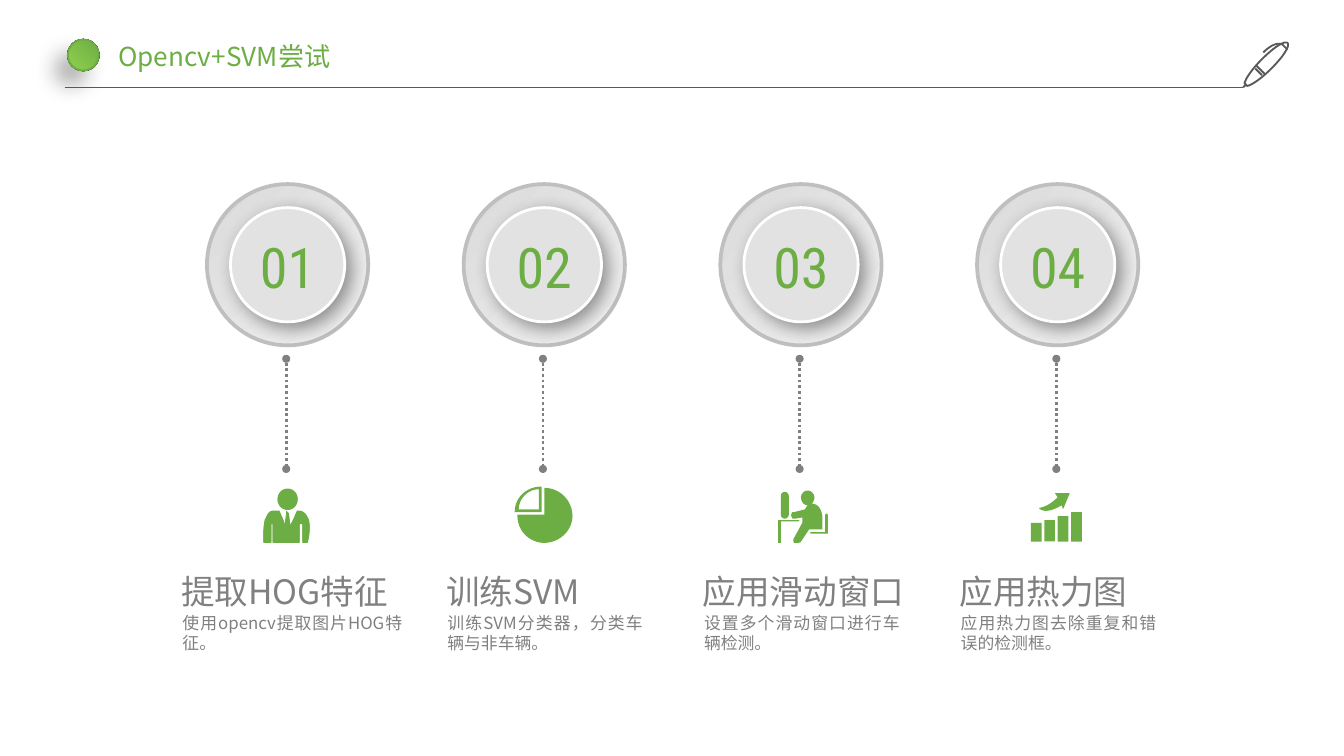
from dataclasses import dataclass
from typing import NamedTuple

from lxml.etree import SubElement
from pptx import Presentation
from pptx.dml.color import RGBColor
from pptx.enum.dml import MSO_LINE
from pptx.enum.shapes import MSO_CONNECTOR, MSO_SHAPE
from pptx.enum.text import MSO_ANCHOR, PP_ALIGN
from pptx.oxml.ns import qn
from pptx.util import Inches, Pt


@dataclass(frozen=True)
class Theme:
    green: str = "6CAE43"
    lime: str = "92D050"
    gray: str = "808080"
    dark: str = "595959"
    black: str = "262626"
    rim: str = "BFBFBF"
    disc: str = "E2E2E2"
    shade: str = "D9D9D9"
    pale: str = "F2F2F2"
    white: str = "FFFFFF"
    font: str = "Noto Sans CJK SC"
    digit: str = "Roboto Condensed"
    title: int = 14
    number: int = 30
    head: int = 18
    body: int = 9


class Shadow(NamedTuple):
    alpha: int
    blur: int
    dist: int
    angle: int


class Step(NamedTuple):
    head: str
    body: str
    left: float
    head_width: float
    body_width: float


T = Theme()
PITCH = 1.91
AXIS = 2.14
STEPS = [
    Step("提取HOG特征", "使用opencv提取图片HOG特征。", 1.25, 1.98, 1.83),
    Step("训练SVM", "训练SVM分类器，分类车辆与非车辆。", 3.22, 1.78, 1.65),
    Step("应用滑动窗口", "设置多个滑动窗口进行车辆检测。", 5.13, 1.78, 1.65),
    Step("应用热力图", "应用热力图去除重复和错误的检测框。", 7.04, 1.78, 1.65),
]

# Outlines: two numbers are a line's end, six are a cubic curve.
PEN = [
    [(9.39, 0.56), (9.34, 0.51)],
    [(9.35, 0.49), (9.41, 0.55)],
    [(9.58, 0.32), (9.56, 0.3, 9.48, 0.35, 9.39, 0.44),
     (9.32, 0.51, 9.27, 0.58, 9.26, 0.62), (9.28, 0.64),
     (9.32, 0.63, 9.39, 0.58, 9.46, 0.51), (9.55, 0.42, 9.6, 0.34, 9.58, 0.32)],
    [(9.27, 0.63), (9.25, 0.65)],
    [(9.58, 0.37), (9.54, 0.33), (9.54, 0.33, 9.49, 0.3, 9.4, 0.39)],
]
SUIT = [[
    (2.29, 3.85), (2.28, 3.82, 2.25, 3.8, 2.23, 3.8), (2.21, 3.8), (2.18, 3.87),
    (2.13, 3.96), (2.16, 3.9), (2.15, 3.82), (2.13, 3.8), (2.13, 3.82),
    (2.12, 3.9), (2.11, 3.87), (2.08, 3.8), (2.03, 3.8),
    (2.01, 3.8, 1.99, 3.82, 1.98, 3.85), (1.96, 3.87, 1.96, 3.96, 1.96, 4.03),
    (2.02, 4.03), (2.02, 3.89), (2.03, 3.89), (2.03, 4.03), (2.23, 4.03),
    (2.23, 3.89), (2.25, 3.89), (2.25, 4.03), (2.29, 4.03),
    (2.31, 3.96, 2.31, 3.87, 2.29, 3.85),
]]
PIE = [[
    (3.85, 3.83), (3.85, 3.84), (3.85, 3.95, 3.94, 4.04, 4.05, 4.04),
    (4.16, 4.04, 4.26, 3.95, 4.26, 3.84), (4.26, 3.72, 4.16, 3.63, 4.05, 3.63),
    (4.05, 3.83),
]]
SLICE = [
    [(3.83, 3.81), (4.03, 3.81), (4.03, 3.62), (3.92, 3.62, 3.83, 3.7, 3.83, 3.81)],
    [(3.86, 3.79), (3.86, 3.71, 3.93, 3.64, 4.01, 3.64), (4.01, 3.79)],
]
DESK = [[(5.79, 3.87), (5.95, 3.87), (5.94, 3.88), (5.81, 3.88), (5.81, 4.04),
         (5.79, 4.04)]]
SITTER = [[
    (5.91, 4), (5.9, 4.01, 5.9, 4.03, 5.91, 4.04), (5.93, 4.04),
    (5.94, 4.04, 5.95, 4.04, 5.96, 4.03), (6.02, 3.94), (6.12, 3.94), (6.12, 3.86),
    (6.12, 3.8, 6.09, 3.75, 6.05, 3.75), (6.04, 3.75),
    (6.05, 3.74, 6.06, 3.72, 6.06, 3.7), (6.06, 3.68, 6.04, 3.65, 6.01, 3.65),
    (5.98, 3.65, 5.96, 3.68, 5.96, 3.7), (5.96, 3.73, 5.98, 3.76, 6.01, 3.76),
    (6.02, 3.75), (6.01, 3.76, 6, 3.77, 5.99, 3.79), (5.91, 3.81),
    (5.9, 3.81, 5.89, 3.81, 5.89, 3.82), (5.89, 3.83, 5.88, 3.84, 5.89, 3.84),
    (5.89, 3.86, 5.9, 3.86, 5.91, 3.86), (5.97, 3.85), (5.97, 3.89),
]]
CHAIR = [[(6.03, 3.96), (6.14, 3.96), (6.14, 3.83), (6.15, 3.82), (6.16, 3.83),
          (6.16, 3.97), (6.03, 3.97)]]
ARROW = [[
    (7.87, 3.7), (7.85, 3.72, 7.8, 3.77, 7.73, 3.78),
    (7.73, 3.78, 7.77, 3.84, 7.9, 3.76), (7.91, 3.79), (7.96, 3.67), (7.85, 3.67),
]]


def rgb(color: str) -> RGBColor:
    return RGBColor.from_string(color)


def style(item, **values) -> None:
    for name, value in values.items():
        setattr(item, name, value)


def paint(shape, fill=None, line=None, width=1.0) -> None:
    """Fill with one colour, a pair as a gradient, or nothing."""
    shape.shadow.inherit = False
    if isinstance(fill, tuple):
        shape.fill.gradient()
        shape.fill.gradient_angle = 315
        for stop, color in zip(shape.fill.gradient_stops, fill):
            stop.color.rgb = rgb(color)
    elif fill:
        shape.fill.solid()
        shape.fill.fore_color.rgb = rgb(fill)
    else:
        shape.fill.background()
    if line:
        shape.line.color.rgb = rgb(line)
        shape.line.width = Pt(width)
    else:
        shape.line.fill.background()


def glow(shape) -> None:
    """Turn a linear gradient into a round one from the top right."""
    grad = shape._element.spPr.find(qn("a:gradFill"))
    grad.remove(grad.find(qn("a:lin")))
    ring = SubElement(grad, qn("a:path"), {"path": "circle"})
    SubElement(ring, qn("a:fillToRect"), {"l": "100000", "b": "100000"})


def cast(shape, shadow: Shadow) -> None:
    effects = shape._element.spPr.find(qn("a:effectLst"))
    outer = SubElement(effects, qn("a:outerShdw"), {
        "blurRad": str(Pt(shadow.blur)), "dist": str(Pt(shadow.dist)),
        "dir": str(shadow.angle * 60000), "algn": "ctr", "rotWithShape": "0"})
    color = SubElement(outer, qn("a:srgbClr"), {"val": "000000"})
    SubElement(color, qn("a:alpha"), {"val": str(shadow.alpha * 1000)})


def block(slide, kind, box: tuple, fill=None, line=None, width=1.0):
    shape = slide.shapes.add_shape(kind, *map(Inches, box))
    paint(shape, fill, line, width)
    return shape


def disc(slide, x: float, y: float, size: float, fill, line=None, width=1.0):
    """Draw a circle about its centre."""
    box = (x - size / 2, y - size / 2, size, size)
    return block(slide, MSO_SHAPE.OVAL, box, fill, line, width)


def rule(slide, start: tuple, end: tuple, color: str, width: float):
    line = slide.shapes.add_connector(MSO_CONNECTOR.STRAIGHT, *map(Inches, start + end))
    style(line.line, width=Pt(width))
    line.line.color.rgb = rgb(color)
    SubElement(line._element.spPr, qn("a:effectLst"))
    return line


def trace(parts: list) -> list:
    """Turn lines and cubic curves into points."""
    points = [parts[0]]
    for part in parts[1:]:
        if len(part) == 2:
            points.append(part)
            continue
        nodes = [points[-1], part[:2], part[2:4], part[4:]]
        for t in (i / 12 for i in range(1, 13)):
            mix = ((1 - t) ** 3, 3 * t * (1 - t) ** 2, 3 * t * t * (1 - t), t ** 3)
            points.append(tuple(sum(m * n[k] for m, n in zip(mix, nodes)) for k in (0, 1)))
    return points


def draw(slide, outline: list, fill=None, line=None, drop=0.0) -> None:
    pen = None
    for parts in outline:
        points = [(Inches(x), Inches(y + drop)) for x, y in trace(parts)]
        if pen is None:
            pen = slide.shapes.build_freeform(*points[0])
        else:
            pen.move_to(*points[0])
        pen.add_line_segments(points[1:], close=bool(fill))
    paint(pen.convert_to_shape(), fill, line)


def write(shape, text: str, size: int, color: str, font: str, align=PP_ALIGN.LEFT,
          wrap=True, pad=(0.1, 0.05)) -> None:
    side, edge = map(Inches, pad)
    frame = shape.text_frame
    style(frame, word_wrap=wrap, vertical_anchor=MSO_ANCHOR.TOP, margin_left=side,
          margin_right=side, margin_top=edge, margin_bottom=edge)
    line = frame.paragraphs[0]
    line.alignment = align
    run = line.add_run()
    run.text = text
    style(run.font, size=Pt(size), name=font)
    run.font.color.rgb = rgb(color)
    SubElement(run._r.rPr, qn("a:ea"), {"typeface": font})


def label(slide, box: tuple, *text, **format) -> None:
    write(slide.shapes.add_textbox(*map(Inches, box)), *text, **format)


def header(slide) -> None:
    base = disc(slide, 0.62, 0.41, 0.24, (T.dark, T.black))
    cast(base, Shadow(32, 12, 10, 130))
    ball = disc(slide, 0.62, 0.41, 0.23, (T.green, T.lime), T.green)
    for shape in (base, ball):
        glow(shape)
    title = slide.shapes.title
    style(title, left=Inches(0.81), top=Inches(0.26), width=Inches(1.85),
          height=Inches(0.31))
    write(title, "Opencv+SVM尝试", T.title, T.green, T.font, wrap=False, pad=(0.07, 0.04))
    rule(slide, (0.48, 0.65), (9.25, 0.65), T.dark, 0.5)
    draw(slide, PEN, line=T.dark)


def column(slide, index: int, step: Step) -> None:
    x = AXIS + index * PITCH
    disc(slide, x, 1.97, 1.2, (T.shade, T.pale), T.rim, 2)
    cast(disc(slide, x, 1.97, 0.85, T.disc, T.white, 1.5), Shadow(40, 10, 4, 45))
    label(slide, (x - 0.35, 1.68, 0.7, 0.61), f"{index + 1:02}", T.number, T.green,
          T.digit, align=PP_ALIGN.CENTER)
    stem = x - 0.01
    link = rule(slide, (stem, 2.7), (stem, 3.51), T.gray, 1.5)
    link.line.dash_style = MSO_LINE.ROUND_DOT
    for y in (2.67, 3.49):
        disc(slide, stem, y, 0.06, T.gray)
    label(slide, (step.left, 4.2, step.head_width, 0.4), step.head, T.head, T.gray, T.font)
    label(slide, (step.left + 0.01, 4.51, step.body_width, 0.4), step.body, T.body,
          T.gray, T.font, align=PP_ALIGN.JUSTIFY)


def icons(slide) -> None:
    for drop in (0.01, 0):
        disc(slide, 2.14, 3.71 + drop, 0.15, T.green)
        draw(slide, SUIT, T.green, drop=drop)
    for outline in (PIE, SLICE, DESK, SITTER, CHAIR, ARROW):
        draw(slide, outline, T.green)
    screen = block(slide, MSO_SHAPE.ROUNDED_RECTANGLE, (5.81, 3.66, 0.06, 0.2), T.green)
    screen.adjustments[0] = 0.5
    for i, height in enumerate((0.14, 0.16, 0.19, 0.22)):
        box = (7.67 + i * 0.1, 4.03 - height, 0.08, height)
        block(slide, MSO_SHAPE.RECTANGLE, box, T.green)


def main() -> None:
    deck = Presentation()
    style(deck, slide_width=Inches(10), slide_height=Inches(10) * 9 // 16)
    slide = deck.slides.add_slide(deck.slide_layouts[5])
    header(slide)
    for index, step in enumerate(STEPS):
        column(slide, index, step)
    icons(slide)
    deck.save("out.pptx")


if __name__ == "__main__":
    main()
